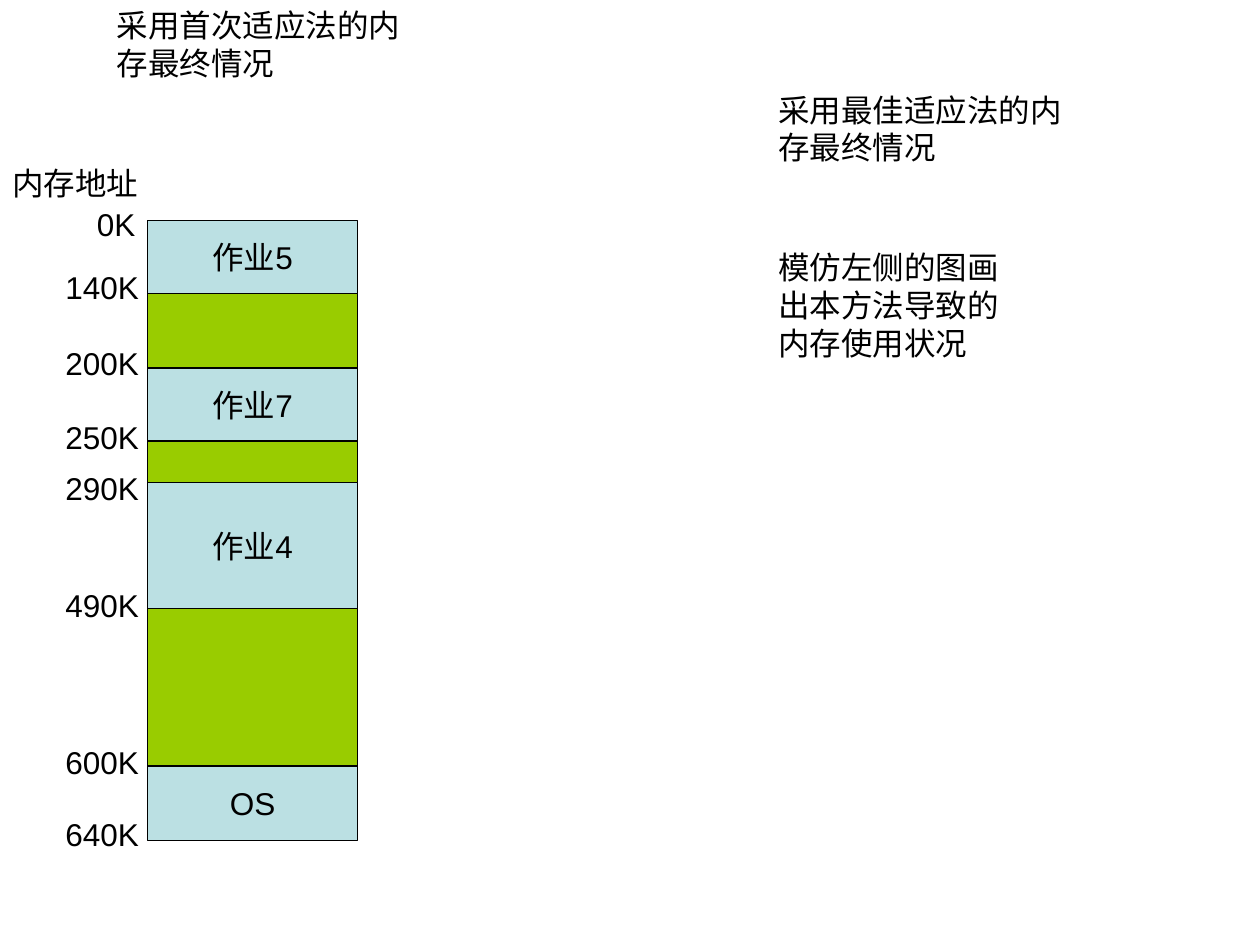
"""Build a slide showing the final memory layout under first-fit allocation."""
from dataclasses import dataclass

from pptx import Presentation, util as u
from pptx.dml.color import RGBColor
from pptx.enum import shapes, text


@dataclass(frozen=True)
class Theme:
    font: str = "Arial"
    size: int = 18
    ink: str = "000000"
    used: str = "BBE0E3"
    free: str = "99CC00"
    line: float = 0.75


class Builder:
    def __init__(self, s, theme):
        self.s = s
        self.theme = theme

    def set_text(self, tf, content, align=None):
        tf.text = content
        p = tf.paragraphs[0]
        p.alignment = align
        for r in p.runs:
            r.font.name = self.theme.font
            r.font.size = u.Pt(self.theme.size)
            r.font.color.rgb = RGBColor.from_string(self.theme.ink)

    def label(self, content, left, top, width, height=0.4):
        box = self.s.shapes.add_textbox(*map(u.Inches, (left, top, width, height)))
        tf = box.text_frame
        tf.word_wrap = True
        tf.auto_size = text.MSO_AUTO_SIZE.SHAPE_TO_FIT_TEXT
        self.set_text(tf, content)

    def block(self, content, left, top, width, height):
        sp = self.s.shapes.add_shape(
            shapes.MSO_SHAPE.RECTANGLE, *map(u.Inches, (left, top, width, height)))
        sp.shadow.inherit = False
        sp.fill.solid()
        fill = self.theme.used if content else self.theme.free
        sp.fill.fore_color.rgb = RGBColor.from_string(fill)
        sp.line.color.rgb = RGBColor.from_string(self.theme.ink)
        sp.line.width = u.Pt(self.theme.line)
        if content:
            tf = sp.text_frame
            tf.word_wrap = False
            tf.vertical_anchor = text.MSO_ANCHOR.MIDDLE
            self.set_text(tf, content, text.PP_ALIGN.CENTER)


def main():
    prs = Presentation()
    prs.slide_width, prs.slide_height = u.Inches(10), u.Inches(7.5)
    b = Builder(prs.slides.add_slide(prs.slide_layouts[6]), Theme())

    b.label("采用首次适应法的内存最终情况", 0.83, 0, 2.58, 0.7)
    b.label("采用最佳适应法的内存最终情况", 6.08, 0.67, 2.58, 0.7)

    jobs = ["作业5", "", "作业7", "", "作业4", "", "OS"]
    edges = [1.75, 2.33, 2.92, 3.5, 3.83, 4.83, 6.08, 6.67]
    for job, top, bottom in zip(jobs, edges, edges[1:]):
        b.block(job, 1.17, top, 1.67, bottom - top)

    b.label("0K", 0.67, 1.58, 0.58)
    addresses = {"140K": 2.08, "200K": 2.68, "250K": 3.27, "290K": 3.67,
                 "490K": 4.6, "600K": 5.85, "640K": 6.42}
    for address, top in addresses.items():
        b.label(address, 0.42, top, 0.92)

    b.label("模仿左侧的图画出本方法导致的内存使用状况", 6.08, 1.92, 2.08, 1)
    b.label("内存地址", 0, 1.25, 1.25)
    prs.save("out.pptx")


if __name__ == "__main__":
    main()
